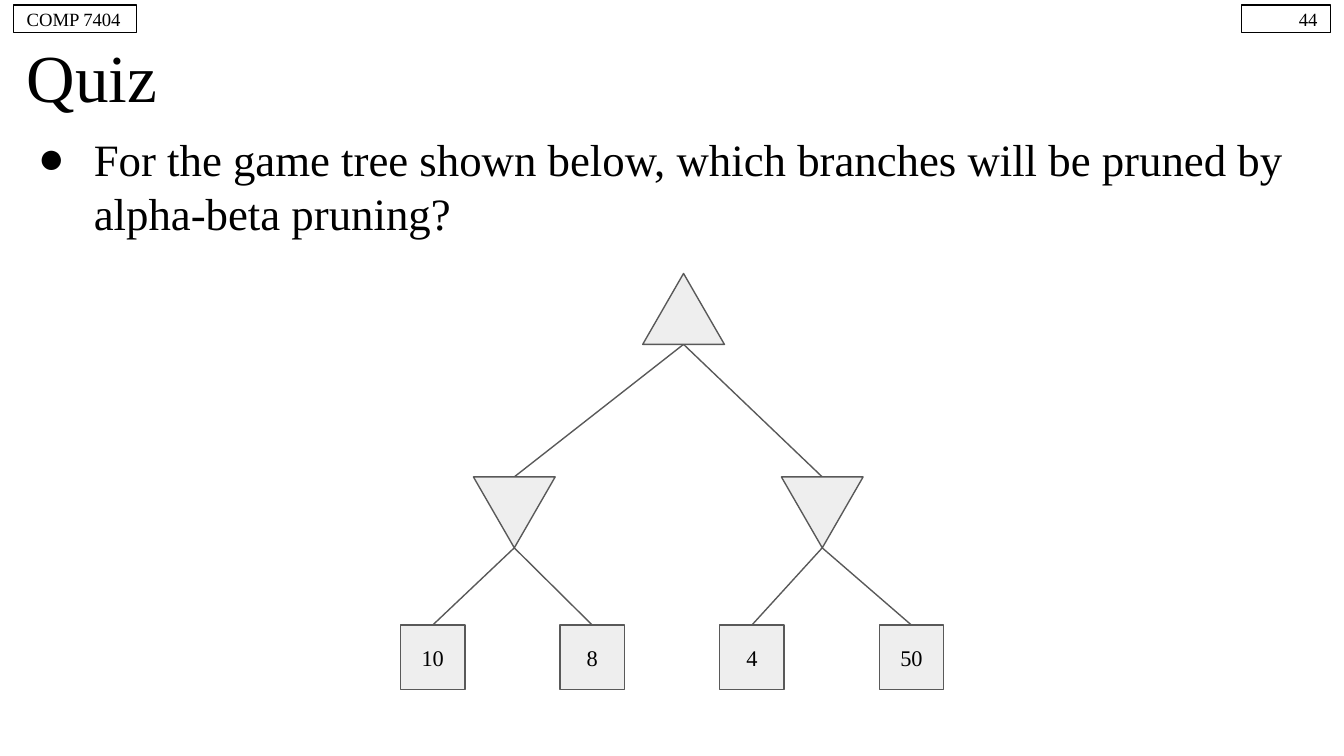
from lxml import etree
from pptx import Presentation
from pptx.dml.color import RGBColor
from pptx.enum.shapes import MSO_CONNECTOR, MSO_SHAPE
from pptx.enum.text import MSO_ANCHOR, PP_ALIGN
from pptx.oxml.ns import qn
from pptx.util import Pt

BLACK = RGBColor(0x00, 0x00, 0x00)
GRAY = RGBColor(0x59, 0x59, 0x59)
LIGHT = RGBColor(0xEE, 0xEE, 0xEE)
FONT = "Times New Roman"
RECTANGLE, TRIANGLE = MSO_SHAPE.RECTANGLE, MSO_SHAPE.ISOSCELES_TRIANGLE
LEFT, CENTER, RIGHT = PP_ALIGN.LEFT, PP_ALIGN.CENTER, PP_ALIGN.RIGHT
TOP, MIDDLE = MSO_ANCHOR.TOP, MSO_ANCHOR.MIDDLE
STRAIGHT = MSO_CONNECTOR.STRAIGHT


def write(shape, text, size, align=LEFT, anchor=MIDDLE, side=7.2):
    frame = shape.text_frame
    frame.word_wrap = True
    frame.vertical_anchor = anchor
    frame.margin_left = frame.margin_right = Pt(side)
    frame.margin_top = frame.margin_bottom = Pt(7.2)
    paragraph = frame.paragraphs[0]
    paragraph.text = text
    paragraph.alignment = align
    paragraph.font.size = Pt(size)
    paragraph.font.name = FONT
    paragraph.font.color.rgb = BLACK
    return paragraph


def add_box(kind, left, top, width, height, line, fill=None):
    shape = slide.shapes.add_shape(kind, Pt(left), Pt(top), Pt(width), Pt(height))
    shape.shadow.inherit = False
    if fill is None:
        shape.fill.background()
    else:
        shape.fill.solid()
        shape.fill.fore_color.rgb = fill
    shape.line.color.rgb = line
    shape.line.width = Pt(0.75)
    return shape


presentation = Presentation()
presentation.slide_width, presentation.slide_height = Pt(720), Pt(405)
slide = presentation.slides.add_slide(presentation.slide_layouts[6])

# Title
title = slide.shapes.add_textbox(Pt(7.2), Pt(20.2), Pt(705.6), Pt(41))
write(title, "Quiz", 36)

# Question with a bullet
body = slide.shapes.add_textbox(Pt(7.2), Pt(63.4), Pt(705.6), Pt(332))
question = "For the game tree shown below, which branches will be pruned by alpha-beta pruning?"
paragraph = write(body, question, 24, anchor=TOP)
properties = paragraph._p.get_or_add_pPr()
properties.set("marL", str(Pt(36)))
properties.set("indent", str(Pt(-30)))
bullet_font = etree.Element(qn("a:buFont"), typeface=FONT)
bullet = etree.Element(qn("a:buChar"), char="●")
properties.insert(0, bullet_font)
properties.insert(1, bullet)

# Page number and course code
for text, left, width, align in (("44", 665.2, 47.6, RIGHT), ("COMP 7404", 7.2, 65.8, LEFT)):
    write(add_box(RECTANGLE, left, 2.8, width, 14.8, BLACK), text, 10, align)

# Game tree: node centres and levels
NODE_WIDTH, NODE_HEIGHT, LEAF_SIZE = 43.8, 38, 34.5
MAX_TOP, MIN_TOP, LEAF_TOP = 146.5, 255.5, 334.9
MAX_X = 366.2
MIN_XS = (275.5, 440.5)
LEAVES = ("10", "8", "4", "50")
leaf_xs = [231.8 + 85.5 * index for index in range(len(LEAVES))]

# Branches
branches = [(MAX_X, MAX_TOP + NODE_HEIGHT, x, MIN_TOP) for x in MIN_XS]
for index, x in enumerate(leaf_xs):
    branches.append((MIN_XS[index // 2], MIN_TOP + NODE_HEIGHT, x, LEAF_TOP))
for branch in branches:
    connector = slide.shapes.add_connector(STRAIGHT, *map(Pt, branch))
    connector.line.color.rgb = GRAY
    connector.line.width = Pt(0.75)
    etree.SubElement(connector._element.spPr, qn("a:effectLst"))

# Max node points up, min nodes point down
for x, top, rotation in ((MAX_X, MAX_TOP, 0), *((x, MIN_TOP, 180) for x in MIN_XS)):
    node = add_box(TRIANGLE, x - NODE_WIDTH / 2, top, NODE_WIDTH, NODE_HEIGHT, GRAY, LIGHT)
    node.rotation = rotation

# Leaf values
for value, x in zip(LEAVES, leaf_xs):
    leaf = add_box(RECTANGLE, x - LEAF_SIZE / 2, LEAF_TOP, LEAF_SIZE, LEAF_SIZE, GRAY, LIGHT)
    write(leaf, value, 12, CENTER, side=0.72)

presentation.save("out.pptx")
